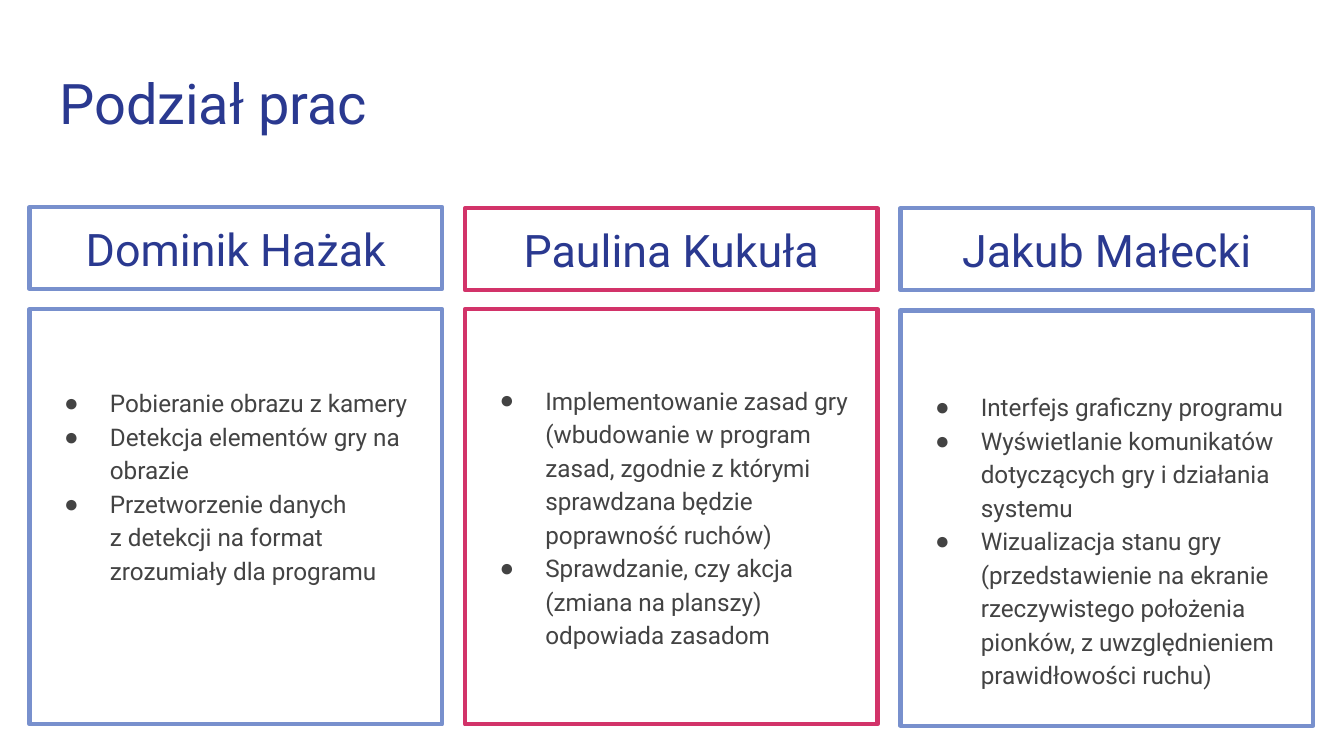
from lxml import etree
from pptx import Presentation
from pptx.dml.color import RGBColor
from pptx.enum.shapes import MSO_SHAPE
from pptx.enum.text import MSO_ANCHOR, PP_ALIGN
from pptx.oxml.ns import qn
from pptx.util import Inches, Pt

COLORS = {"navy": "2A3990", "text": "434343", "blue": "7890CD", "pink": "D23369"}
LEFT, STEP, WIDTH = 0.22, 3.24, 3.07
NAME_HEIGHT, TASKS_HEIGHT = 0.61, 3.09

people = [
    ("Dominik Hażak", "blue", 1.54, 2.30, 0.56, [
        "Pobieranie obrazu z kamery",
        "Detekcja elementów gry na obrazie",
        "Przetworzenie danych \vz detekcji na format zrozumiały dla programu",
    ]),
    ("Paulina Kukuła", "pink", 1.55, 2.30, 0.54, [
        "Implementowanie zasad gry\v(wbudowanie w program zasad, zgodnie z którymi "
        "sprawdzana będzie poprawność ruchów)",
        "Sprawdzanie, czy akcja (zmiana na planszy) odpowiada zasadom",
    ]),
    ("Jakub Małecki", "blue", 1.55, 2.31, 0.58, [
        "Interfejs graficzny programu",
        "Wyświetlanie komunikatów dotyczących gry i działania systemu",
        "Wizualizacja stanu gry (przedstawienie na ekranie rzeczywistego położenia "
        "pionków, z uwzględnieniem prawidłowości ruchu)",
    ]),
]


def set_text(sp, lines, size, color, align, anchor, top=0.1):
    tf = sp.text_frame
    tf.word_wrap = True
    tf.vertical_anchor = anchor
    tf.margin_left = tf.margin_right = tf.margin_bottom = Inches(0.1)
    tf.margin_top = Inches(top)
    tf.text = "\n".join(lines)
    for p in tf.paragraphs:
        p.alignment = align
        for r in p.runs:
            r.font.name = "Roboto"
            r.font.size = Pt(size)
            r.font.color.rgb = RGBColor.from_string(COLORS[color])


def add_box(x, y, height, color):
    sp = slide.shapes.add_shape(
        MSO_SHAPE.RECTANGLE, Inches(x), Inches(y), Inches(WIDTH), Inches(height))
    sp.shadow.inherit = False
    sp.fill.background()
    sp.line.color.rgb = RGBColor.from_string(COLORS[color])
    sp.line.width = Pt(2.25)
    return sp


prs = Presentation()
prs.slide_width = Inches(10)
prs.slide_height = prs.slide_width * 9 // 16
slide = prs.slides.add_slide(prs.slide_layouts[5])

title = slide.shapes.title
title.left, title.top = Inches(0.34), Inches(0.45)
title.width, title.height = Inches(9.32), Inches(0.66)
set_text(title, ["Podział prac"], 30, "navy", PP_ALIGN.LEFT, MSO_ANCHOR.BOTTOM)

for col, (name, color, name_top, tasks_top, inset, tasks) in enumerate(people):
    x = LEFT + col * STEP
    name_box = add_box(x, name_top, NAME_HEIGHT, color)
    set_text(name_box, [name], 24, "navy", PP_ALIGN.CENTER, MSO_ANCHOR.BOTTOM)

    tasks_box = add_box(x, tasks_top, TASKS_HEIGHT, color)
    set_text(tasks_box, tasks, 13, "text", PP_ALIGN.LEFT, MSO_ANCHOR.TOP, inset)
    for p in tasks_box.text_frame.paragraphs:
        p.line_spacing = 1.15
        pPr = p._p.get_or_add_pPr()
        pPr.set("marL", str(Inches(0.5)))
        pPr.set("indent", str(Inches(-0.34)))
        bullet_color = etree.SubElement(pPr, qn("a:buClr"))
        etree.SubElement(bullet_color, qn("a:srgbClr"), val=COLORS["text"])
        etree.SubElement(pPr, qn("a:buFont"), typeface="Arial")
        etree.SubElement(pPr, qn("a:buChar"), char="●")

prs.save("out.pptx")
